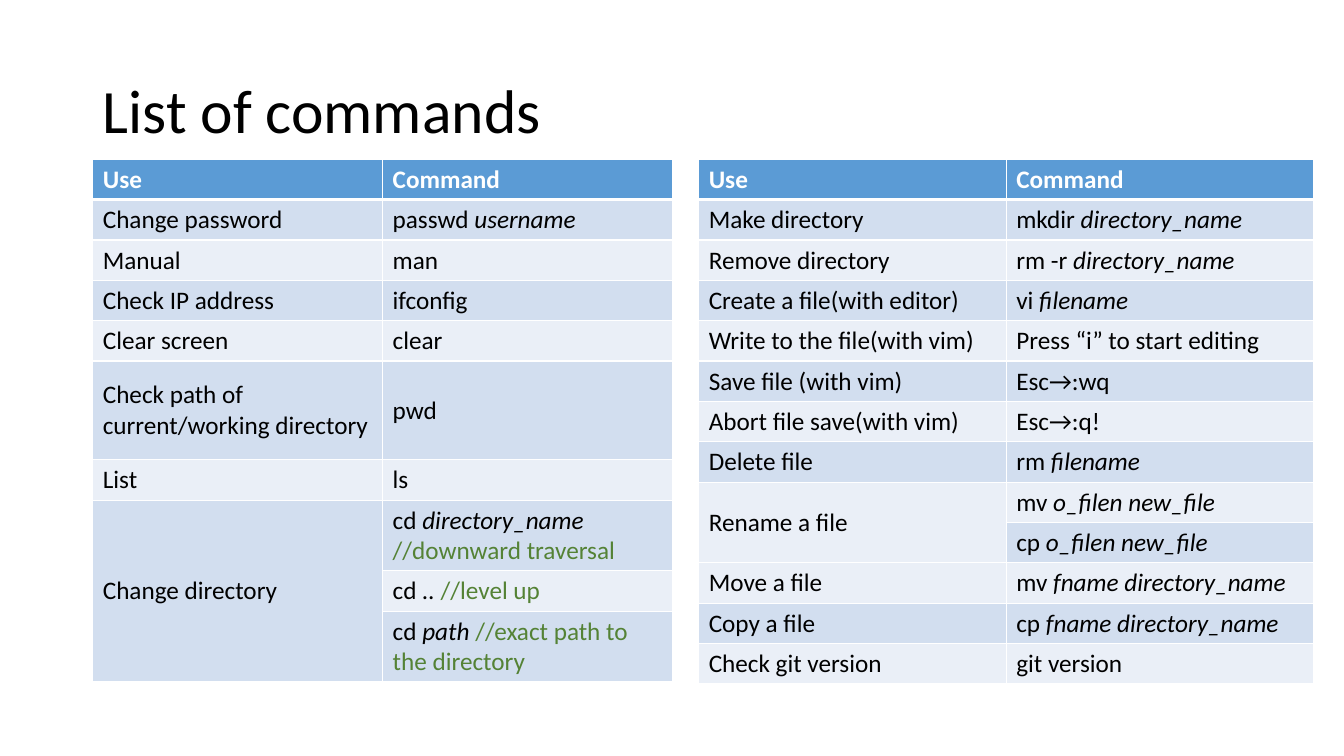
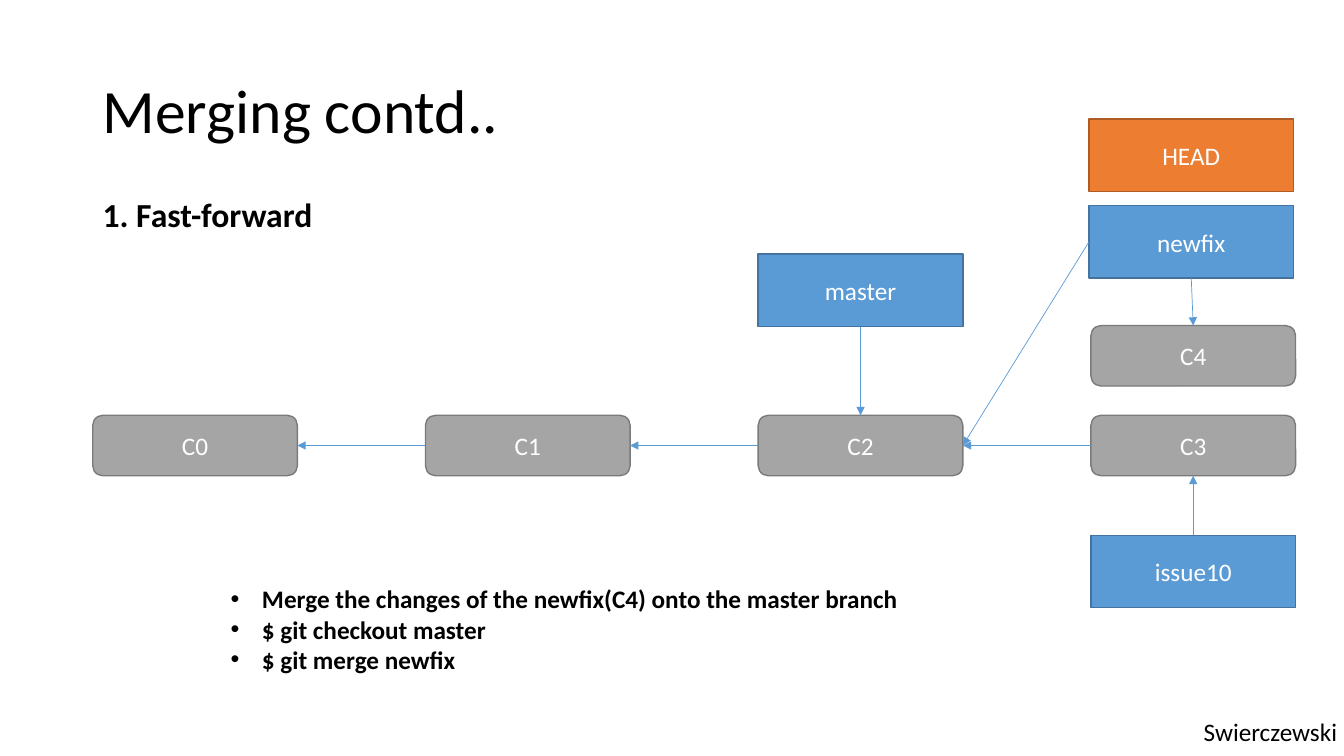
"""Build two slides on shell commands and Git fast-forward merging."""
from lxml import etree
from pptx import Presentation
from pptx.dml.color import RGBColor
from pptx.enum import shapes, text
from pptx.oxml import ns
from pptx.util import Inches, Pt

FONT = "Calibri"
WHITE = RGBColor(0xFF, 0xFF, 0xFF)
BLACK = RGBColor(0, 0, 0)
BLUE = RGBColor(0x5B, 0x9B, 0xD5)
DARK_BLUE = RGBColor(0x43, 0x73, 0x9E)
GRAY = RGBColor(0xA5, 0xA5, 0xA5)
DARK_GRAY = RGBColor(0x7A, 0x7A, 0x7A)
ORANGE = RGBColor(0xED, 0x7D, 0x31)
DARK_ORANGE = RGBColor(0xAF, 0x5C, 0x24)
GREEN = RGBColor(0x54, 0x82, 0x35)
BANDS = (RGBColor(0xEA, 0xEF, 0xF7), RGBColor(0xD2, 0xDE, 0xEF))

LEFT = 0.92
NODE_WIDTH = 2.03
COMMIT_HEIGHT = 0.6
LABEL_HEIGHT = 0.72
COMMIT_TOP = 4.12
COMMIT_PITCH = 3.3
TOP, LEFT_SIDE, BOTTOM, RIGHT_SIDE = range(4)

HEADER = ("Use", "Command")
BASIC_COMMANDS = [
    ("Change password", ("passwd ", "username")),
    ("Manual", ("man",)),
    ("Check IP address", ("ifconfig",)),
    ("Clear screen", ("clear",)),
    ("Check path of current/working directory", ("pwd",)),
    ("List", ("ls",)),
    ("Change directory", ("cd ", "directory_name ", "//downward traversal")),
    (None, ("cd ", ".. ", "//level up")),
    (None, ("cd ", "path ", "//exact path to the directory")),
]
FILE_COMMANDS = [
    ("Make directory", ("mkdir ", "directory_name")),
    ("Remove directory", ("rm -r ", "directory_name")),
    ("Create a file(with editor)", ("vi ", "filename")),
    ("Write to the file(with vim)", ("Press “i” to start editing",)),
    ("Save file (with vim)", ("Esc→:wq",)),
    ("Abort file save(with vim)", ("Esc→:q!",)),
    ("Delete file", ("rm ", "filename")),
    ("Rename a file", ("mv ", "o_filen new_file")),
    (None, ("cp ", "o_filen new_file")),
    ("Move a file", ("mv ", "fname directory_name")),
    ("Copy a file", ("cp ", "fname directory_name")),
    ("Check git version", ("git version",)),
]
MERGE_STEPS = [
    "Merge the changes of the newfix(C4) onto the master branch",
    "$ git checkout master",
    "$ git merge newfix",
]


def add_span(para, words, size=18, color=BLACK, bold=False, italic=False):
    """Append one styled run to a paragraph."""
    span = para.add_run()
    span.text = words
    font = span.font
    font.name, font.size, font.bold, font.italic = FONT, Pt(size), bold, italic
    font.color.rgb = color


def add_text(page, left, top, width, height, lines, wrap=True, bullets=False, **style):
    """Add a text box with one paragraph per line and return its frame."""
    box = page.shapes.add_textbox(Inches(left), Inches(top), Inches(width), Inches(height))
    frame = box.text_frame
    frame.word_wrap = wrap
    for index, line in enumerate(lines):
        para = frame.paragraphs[0] if index == 0 else frame.add_paragraph()
        add_span(para, line, **style)
        if bullets:
            add_bullet(para)
    return frame


def add_bullet(para):
    """Give a paragraph a round bullet and a hanging indent."""
    props = para._p.get_or_add_pPr()
    props.set("marL", str(Inches(0.31)))
    props.set("indent", str(-Inches(0.31)))
    etree.SubElement(props, ns.qn("a:buFont"), typeface="Arial")
    etree.SubElement(props, ns.qn("a:buChar"), char="•")


def add_page(deck, title):
    """Add a blank slide with the shared title."""
    page = deck.slides.add_slide(deck.slide_layouts[6])
    frame = add_text(page, LEFT, 0.4, 11.5, 1.45, [title], size=44)
    frame.vertical_anchor = text.MSO_ANCHOR.MIDDLE
    frame.paragraphs[0].line_spacing = 0.9
    return page


def style_cell(cell, row):
    """Set the borders, fill and anchor of a cell from its row number."""
    widths = {"L": 1, "R": 1, "T": 3 if row == 1 else 1, "B": 3 if row == 0 else 1}
    props = cell._tc.get_or_add_tcPr()
    for side, width in widths.items():
        line = etree.SubElement(props, ns.qn(f"a:ln{side}"), w=str(Pt(width)))
        fill = etree.SubElement(line, ns.qn("a:solidFill"))
        etree.SubElement(fill, ns.qn("a:srgbClr"), val=str(WHITE))
    cell.fill.solid()
    cell.fill.fore_color.rgb = BLUE if row == 0 else BANDS[row % 2]
    cell.vertical_anchor = text.MSO_ANCHOR.MIDDLE


def add_command_table(page, left, width, commands, tall_rows):
    """Add a table of uses and commands, merging uses that continue."""
    heights = [tall_rows.get(row, 0.4) for row in range(len(commands) + 1)]
    table = page.shapes.add_table(
        len(heights), 2, Inches(left), Inches(1.58), Inches(width), Inches(sum(heights))
    ).table
    for row, height in enumerate(heights):
        table.rows[row].height = Inches(height)
        for column in range(2):
            style_cell(table.cell(row, column), row)
    for column, heading in enumerate(HEADER):
        add_span(table.cell(0, column).text_frame.paragraphs[0], heading, color=WHITE, bold=True)
    styles = ({}, {"italic": True}, {"color": GREEN})
    first = 1
    for row, (use, parts) in enumerate(commands, 1):
        if use:
            first = row
            add_span(table.cell(row, 0).text_frame.paragraphs[0], use)
        elif row == len(commands) or commands[row][0]:
            table.cell(first, 0).merge(table.cell(row, 0))
        para = table.cell(row, 1).text_frame.paragraphs[0]
        for words, style in zip(parts, styles):
            add_span(para, words, **style)


def add_node(page, kind, name, left, top, height, fill, line):
    """Add a filled shape with a centred name."""
    node = page.shapes.add_shape(
        kind, Inches(left), Inches(top), Inches(NODE_WIDTH), Inches(height)
    )
    node.shadow.inherit = False
    node.fill.solid()
    node.fill.fore_color.rgb = fill
    node.line.color.rgb = line
    node.line.width = Pt(1)
    node.text_frame.vertical_anchor = text.MSO_ANCHOR.MIDDLE
    para = node.text_frame.paragraphs[0]
    para.alignment = text.PP_ALIGN.CENTER
    add_span(para, name, color=WHITE)
    return node


def add_commit(page, name, left, top=COMMIT_TOP):
    """Add a rounded gray commit."""
    kind = shapes.MSO_SHAPE.ROUNDED_RECTANGLE
    return add_node(page, kind, name, left, top, COMMIT_HEIGHT, GRAY, DARK_GRAY)


def add_label(page, name, left, top, fill=BLUE, line=DARK_BLUE):
    """Add a rectangular branch label."""
    kind = shapes.MSO_SHAPE.RECTANGLE
    return add_node(page, kind, name, left, top, LABEL_HEIGHT, fill, line)


def add_arrow(page, source, source_side, target, target_side):
    """Join two nodes with a thin arrow."""
    arrow = page.shapes.add_connector(shapes.MSO_CONNECTOR.STRAIGHT, 0, 0, 0, 0)
    arrow.begin_connect(source, source_side)
    arrow.end_connect(target, target_side)
    arrow.line.color.rgb = BLUE
    arrow.line.width = Pt(0.5)
    etree.SubElement(arrow.line._get_or_add_ln(), ns.qn("a:tailEnd"), type="triangle")
    etree.SubElement(arrow._element.spPr, ns.qn("a:effectLst"))


def build_commands(deck):
    """Build the slide with the two command tables."""
    page = add_page(deck, "List of commands")
    add_command_table(page, LEFT, 5.75, BASIC_COMMANDS, {5: 0.98, 7: 0.7, 9: 0.7})
    add_command_table(page, 6.93, 6.1, FILE_COMMANDS, {})


def build_merging(deck):
    """Build the slide with the commit diagram."""
    page = add_page(deck, "Merging contd..")
    add_text(page, LEFT, 1.87, 3.54, 0.5, ["1. Fast-forward"], size=24, bold=True)
    columns = [LEFT + COMMIT_PITCH * index for index in range(4)]
    commits = [add_commit(page, f"C{index}", left) for index, left in enumerate(columns)]
    fix_commit = add_commit(page, "C4", columns[3], 3.23)
    master = add_label(page, "master", columns[2], 2.52)
    issue = add_label(page, "issue10", columns[3], 5.31)
    add_label(page, "HEAD", 10.8, 1.18, ORANGE, DARK_ORANGE)
    newfix = add_label(page, "newfix", 10.8, 2.04)

    for parent, child in zip(commits, commits[1:]):
        add_arrow(page, child, LEFT_SIDE, parent, RIGHT_SIDE)
    add_arrow(page, master, BOTTOM, commits[2], TOP)
    add_arrow(page, issue, TOP, commits[3], BOTTOM)
    add_arrow(page, newfix, BOTTOM, fix_commit, TOP)
    add_arrow(page, newfix, LEFT_SIDE, commits[2], RIGHT_SIDE)

    add_text(page, 2.19, 5.74, 6.85, 1.01, MERGE_STEPS, wrap=False, bullets=True, bold=True)
    add_text(page, 11.84, 7.06, 1.54, 0.4, ["Swierczewski"], wrap=False)


def main():
    """Build and save the deck."""
    deck = Presentation()
    deck.slide_width, deck.slide_height = Inches(13.33), Inches(7.5)
    build_commands(deck)
    build_merging(deck)
    deck.save("out.pptx")


if __name__ == "__main__":
    main()
